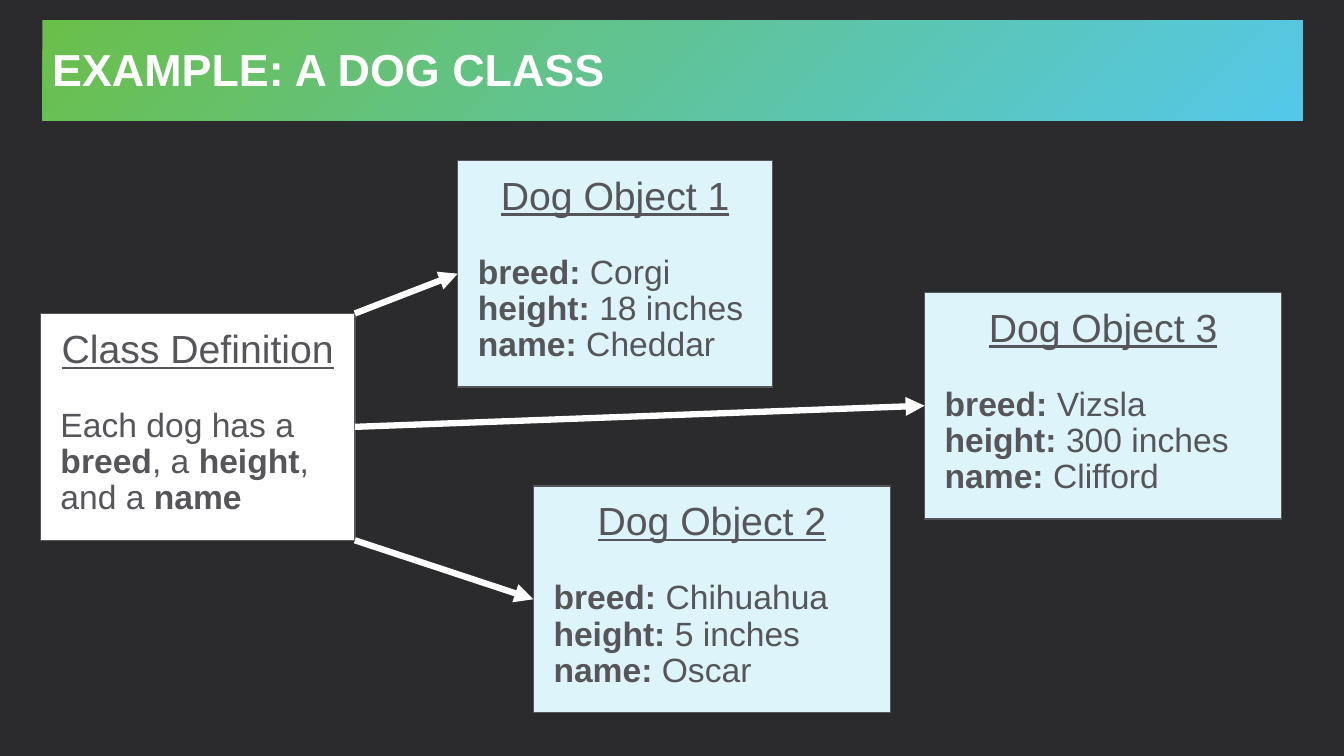
from pptx import Presentation
from pptx.dml.color import RGBColor
from pptx.enum.shapes import MSO_CONNECTOR, MSO_SHAPE
from pptx.enum.text import MSO_ANCHOR, PP_ALIGN
from pptx.oxml.ns import qn
from pptx.util import Inches, Pt
from lxml import etree

RECTANGLE = MSO_SHAPE.RECTANGLE
STRAIGHT = MSO_CONNECTOR.STRAIGHT
TOP, MIDDLE = MSO_ANCHOR.TOP, MSO_ANCHOR.MIDDLE
LEFT, CENTER = PP_ALIGN.LEFT, PP_ALIGN.CENTER
LEFT_SIDE, RIGHT_SIDE = 1, 3

FONT = "Arial"
WHITE, GREY, PALE_BLUE = "FFFFFF", "56565A", "DDF4FA"
BOX_HEIGHT = 2.25
NARROW, WIDE = 3.12, 3.54


def color(value):
    return RGBColor.from_string(value)


def add_box(left, top, width, height, margins, anchor):
    box = page.shapes.add_shape(
        RECTANGLE, Inches(left), Inches(top), Inches(width), Inches(height))
    box.shadow.inherit = False
    frame = box.text_frame
    frame.word_wrap = True
    frame.vertical_anchor = anchor
    (frame.margin_left, frame.margin_top,
     frame.margin_right, frame.margin_bottom) = map(Inches, margins)
    return box


deck = Presentation()
deck.slide_width, deck.slide_height = Inches(13.33), Inches(7.5)
page = deck.slides.add_slide(deck.slide_layouts[6])
page.background.fill.solid()
page.background.fill.fore_color.rgb = color("2B2B2D")

# Title banner
banner = add_box(0.42, 0.2, 12.5, 1, (0.1, 0.05, 0, 0), MIDDLE)
banner.line.fill.background()
banner.fill.gradient()
banner.fill.gradient_angle = 315
stops = [(0.01, "6ABF4B"), (0.99, "54C8E8")]
for stop, (position, shade) in zip(banner.fill.gradient_stops, stops):
    stop.position = position
    stop.color.rgb = color(shade)
para = banner.text_frame.paragraphs[0]
para.text = "EXAMPLE: A DOG CLASS"
para.alignment = LEFT
para.line_spacing = 0.85
para.font.name, para.font.size, para.font.bold = FONT, Pt(32), True
para.font.color.rgb = color(WHITE)

# Class and object boxes; text between asterisks is bold
cards = [
    ("Class Definition", 0.4, 3.11, NARROW, WHITE,
     ["Each dog has a *breed*, a *height*, and a *name*"]),
    ("Dog Object 1", 4.54, 1.59, NARROW, PALE_BLUE,
     ["*breed:* Corgi", "*height:* 18 inches", "*name:* Cheddar"]),
    ("Dog Object 2", 5.29, 4.82, WIDE, PALE_BLUE,
     ["*breed:* Chihuahua", "*height:* 5 inches", "*name:* Oscar"]),
    ("Dog Object 3", 9.17, 2.9, WIDE, PALE_BLUE,
     ["*breed:* Vizsla", "*height:* 300 inches", "*name:* Clifford"]),
]
boxes = []
for heading, left, top, width, fill, lines in cards:
    box = add_box(left, top, width, BOX_HEIGHT, (0.2, 0.16, 0.2, 0.16), TOP)
    box.fill.solid()
    box.fill.fore_color.rgb = color(fill)
    box.line.color.rgb = color(GREY)
    box.line.width = Pt(1)
    boxes.append(box)

    para = box.text_frame.paragraphs[0]
    para.text = heading
    para.alignment = CENTER
    para.space_after = Pt(26)
    para.font.size, para.font.underline = Pt(28), True
    for line in lines:
        para = box.text_frame.add_paragraph()
        para.alignment = LEFT
        para.font.size = Pt(24)
        for index, part in enumerate(line.split("*")):
            if part:
                span = para.add_run()
                span.text = part
                span.font.bold = index % 2 == 1
    for para in box.text_frame.paragraphs:
        para.line_spacing = 0.9
        para.font.name = FONT
        para.font.color.rgb = color(GREY)

# Arrows from the class's right edge to each object's left side
class_box, first, second, third = boxes
right_edge = class_box.left + class_box.width
starts = [
    (first, class_box.top),
    (second, class_box.top + class_box.height),
    (third, class_box.top + class_box.height // 2),
]
for target, start in starts:
    arrow = page.shapes.add_connector(
        STRAIGHT, right_edge, start,
        target.left, target.top + target.height // 2)
    if target is third:
        arrow.begin_connect(class_box, RIGHT_SIDE)
    arrow.end_connect(target, LEFT_SIDE)
    arrow.line.color.rgb = color(WHITE)
    arrow.line.width = Pt(4.5)
    etree.SubElement(arrow.line._get_or_add_ln(), qn("a:tailEnd"), type="triangle")
    etree.SubElement(arrow._element.spPr, qn("a:effectLst"))

deck.save("out.pptx")
